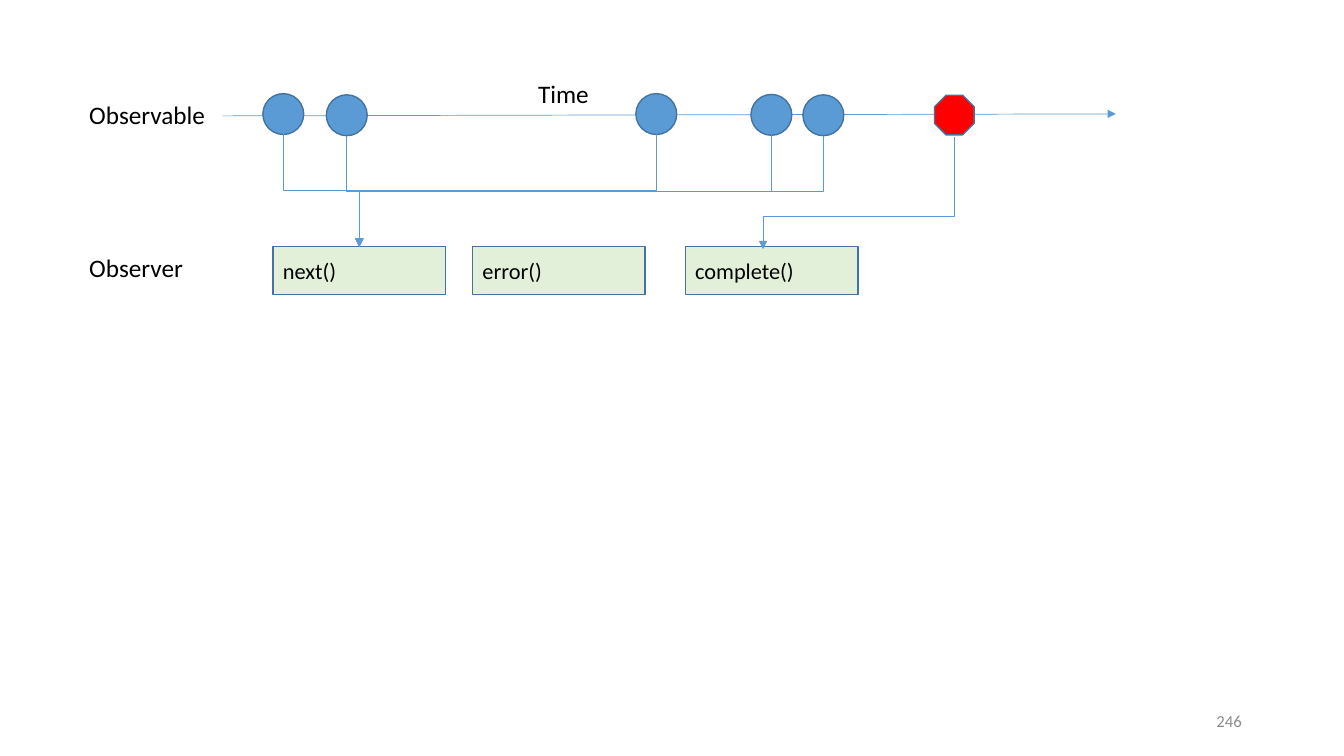
from dataclasses import dataclass

from lxml.etree import SubElement
from pptx import Presentation
from pptx.dml.color import RGBColor
from pptx.enum.shapes import MSO_CONNECTOR, MSO_SHAPE
from pptx.enum.text import MSO_ANCHOR, MSO_AUTO_SIZE, PP_ALIGN
from pptx.oxml.ns import qn
from pptx.shapes.autoshape import Shape
from pptx.shapes.connector import Connector
from pptx.slide import Slide
from pptx.util import Cm, Pt

BLUE, OUTLINE, RED, GREEN = "5B9BD5", "43739E", "FF0000", "E2F0D9"
BLACK, GRAY = "000000", "8C8C8C"
MARBLE_SIZE = 1.03
HANDLER_TOP, HANDLER_WIDTH, HANDLER_HEIGHT = 6.22, 4.35, 1.2


# All lengths below are centimetres
@dataclass
class Label:
    text: str
    left: float
    top: float
    width: float
    size: int = 18
    color: str = BLACK
    wrap: bool = True
    align: PP_ALIGN = PP_ALIGN.LEFT


@dataclass
class Marble:
    center: float
    top: float


@dataclass
class Handler:
    text: str
    left: float


@dataclass
class Route:
    start_x: float
    start_y: float
    end_x: float
    end_y: float
    bend: float = 0.5


LABELS = [
    Label("Observable", 2, 2.36, 3.6),
    Label("Observer", 2, 6.22, 2.9, wrap=False),
    Label("Time", 13.31, 1.83, 2.72),
    Label("246", 23.93, 17.65, 7.62, 12, GRAY, align=PP_ALIGN.RIGHT),
]
MARBLES = [
    Marble(7.14, 2.36),
    Marble(8.74, 2.39),
    Marble(16.54, 2.36),
    Marble(19.44, 2.38),
    Marble(20.75, 2.39),
]
HANDLERS = [Handler("next()", 6.88), Handler("error()", 11.91), Handler("complete()", 17.27)]
NEXT_CENTER = HANDLERS[0].left + HANDLER_WIDTH / 2
ROUTES = [
    Route(marble.center, marble.top + MARBLE_SIZE, NEXT_CENTER, HANDLER_TOP)
    for marble in MARBLES
] + [Route(24.05, 3.46, 19.23, 6.28, bend=0.71)]


def rgb(color: str) -> RGBColor:
    return RGBColor.from_string(color)


def write_text(shape: Shape, text: str, size: int, color: str, align: PP_ALIGN) -> None:
    frame = shape.text_frame
    frame.text = text
    frame.vertical_anchor = MSO_ANCHOR.MIDDLE
    para = frame.paragraphs[0]
    para.alignment = align
    font = para.runs[0].font
    font.name, font.size = "Calibri", Pt(size)
    font.color.rgb = rgb(color)


def add_label(page: Slide, label: Label) -> None:
    box = page.shapes.add_textbox(
        Cm(label.left), Cm(label.top), Cm(label.width), Cm(1.03))
    write_text(box, label.text, label.size, label.color, label.align)
    box.text_frame.word_wrap = label.wrap
    box.text_frame.auto_size = MSO_AUTO_SIZE.NONE


def add_figure(page: Slide, kind: MSO_SHAPE, left: float, top: float,
               width: float, height: float, fill: str) -> Shape:
    shape = page.shapes.add_shape(kind, Cm(left), Cm(top), Cm(width), Cm(height))
    shape.shadow.inherit = False
    shape.fill.solid()
    shape.fill.fore_color.rgb = rgb(fill)
    shape.line.color.rgb = rgb(OUTLINE)
    shape.line.width = Pt(1)
    return shape


def add_arrow(page: Slide, kind: MSO_CONNECTOR, start_x: float, start_y: float,
              end_x: float, end_y: float) -> Connector:
    arrow = page.shapes.add_connector(
        kind, Cm(start_x), Cm(start_y), Cm(end_x), Cm(end_y))
    arrow.line.color.rgb = rgb(BLUE)
    arrow.line.width = Pt(0.5)
    SubElement(arrow.line._get_or_add_ln(), qn("a:tailEnd"), type="triangle")
    SubElement(arrow._element.spPr, qn("a:effectLst"))
    return arrow


def add_route(page: Slide, route: Route) -> None:
    # A quarter turn makes the elbow leave downwards and arrive downwards
    drop = route.end_y - route.start_y
    shift = abs(route.end_x - route.start_x)
    middle_x = (route.start_x + route.end_x) / 2
    middle_y = (route.start_y + route.end_y) / 2
    left, right = middle_x - drop / 2, middle_x + drop / 2
    top, bottom = middle_y - shift / 2, middle_y + shift / 2
    goes_right = route.end_x > route.start_x
    first, last = (right, left) if goes_right else (left, right)
    arrow = add_arrow(page, MSO_CONNECTOR.ELBOW, first, top, last, bottom)
    properties = arrow._element.spPr
    turn = 270 if goes_right else 90
    properties.find(qn("a:xfrm")).set("rot", str(turn * 60000))
    adjustments = properties.find(qn("a:prstGeom")).get_or_add_avLst()
    SubElement(adjustments, qn("a:gd"), name="adj1",
               fmla=f"val {round(route.bend * 100000)}")


def main() -> None:
    deck = Presentation()
    deck.slide_width, deck.slide_height = Cm(33.87), Cm(19.05)
    page = deck.slides.add_slide(deck.slide_layouts[6])

    # Timeline with its events and the completion sign
    add_arrow(page, MSO_CONNECTOR.STRAIGHT, 5.61, 2.92, 28.12, 2.87)
    for marble in MARBLES:
        add_figure(page, MSO_SHAPE.OVAL, marble.center - MARBLE_SIZE / 2, marble.top,
                   MARBLE_SIZE, MARBLE_SIZE, BLUE)
    add_figure(page, MSO_SHAPE.OCTAGON, 23.55, 2.4, 1, 1, RED)

    # Observer handlers
    for handler in HANDLERS:
        box = add_figure(page, MSO_SHAPE.RECTANGLE, handler.left, HANDLER_TOP,
                         HANDLER_WIDTH, HANDLER_HEIGHT, GREEN)
        write_text(box, handler.text, 16, BLACK, PP_ALIGN.LEFT)

    # Arrows from the events to the handlers
    for route in ROUTES:
        add_route(page, route)

    # Labels and page number
    for label in LABELS:
        add_label(page, label)

    deck.save("out.pptx")


if __name__ == "__main__":
    main()
